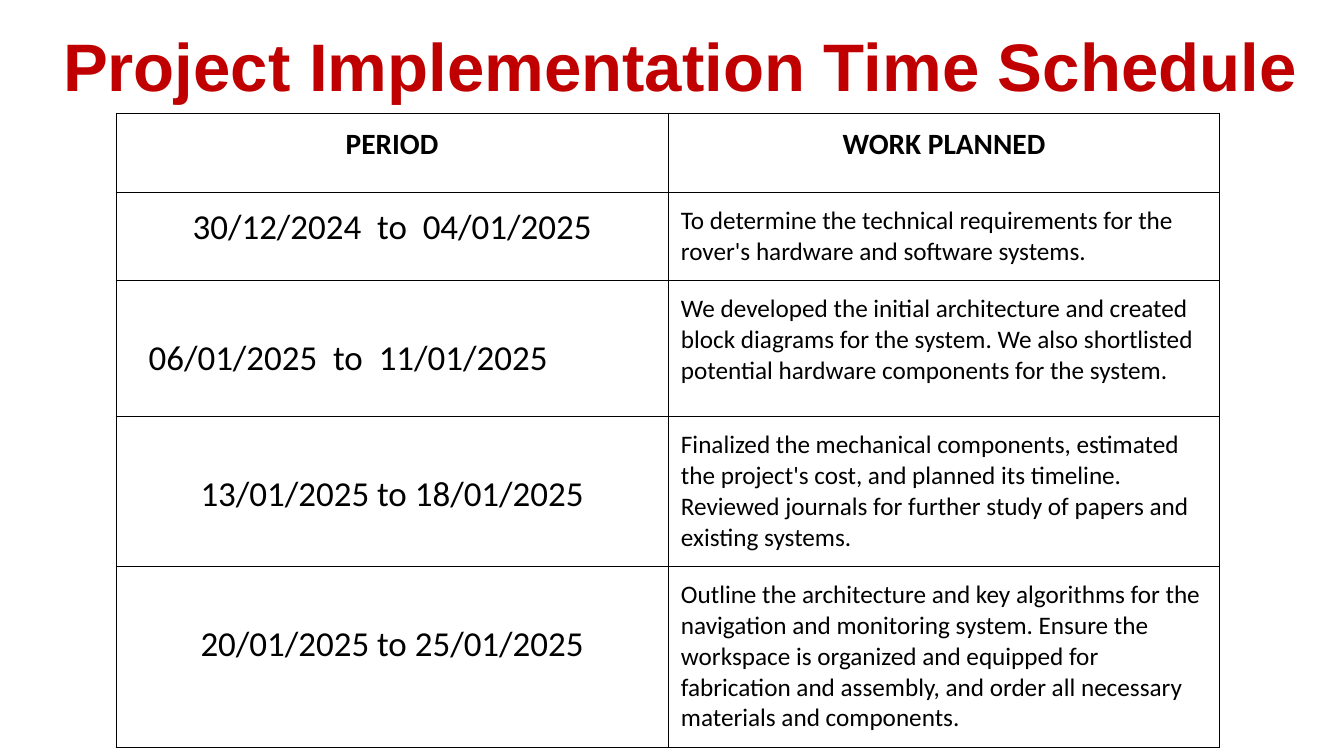
from lxml import etree
from pptx import Presentation
from pptx.dml.color import RGBColor
from pptx.enum.text import MSO_ANCHOR, PP_ALIGN
from pptx.oxml.ns import qn
from pptx.util import Pt

PX = 9071.43
RED = RGBColor(0xC0, 0x00, 0x00)
BLACK = RGBColor(0x00, 0x00, 0x00)
WHITE = RGBColor(0xFF, 0xFF, 0xFF)
LEFT, CENTER = PP_ALIGN.LEFT, PP_ALIGN.CENTER
TOP, BOTTOM = MSO_ANCHOR.TOP, MSO_ANCHOR.BOTTOM
INSET = 13
DATE_TOP = 56


def px(n):
    return round(n * PX)


def write(p, text, color, **fmt):
    r = p.add_run()
    r.text = text
    r.font.color.rgb = color
    for name, value in fmt.items():
        setattr(r.font, name, value)


prs = Presentation()
prs.slide_width, prs.slide_height = px(1344), px(756)
s = prs.slides.add_slide(prs.slide_layouts[6])

title = s.shapes.add_textbox(px(50), px(35), px(1284), px(83))
tf = title.text_frame
frame = {"word_wrap": True, "vertical_anchor": BOTTOM}
frame.update({f"margin_{side}": px(INSET) for side in ("left", "right", "top", "bottom")})
for name, value in frame.items():
    setattr(tf, name, value)
write(tf.paragraphs[0], "Project Implementation Time Schedule", RED,
      name="Arial", size=Pt(48), bold=True)

rows = [
    (80, INSET, INSET, "PERIOD", "WORK PLANNED"),
    (88, INSET, INSET, "30/12/2024  to  04/01/2025",
     "To determine the technical requirements for the rover's hardware and software systems."),
    (136, DATE_TOP, 101, "06/01/2025  to  11/01/2025",
     "We developed the initial architecture and created block diagrams for the system. "
     "We also shortlisted potential hardware components for the system."),
    (150, DATE_TOP, INSET, "13/01/2025 to 18/01/2025",
     "Finalized the mechanical components, estimated the project's cost, and planned its timeline. "
     "Reviewed journals for further study of papers and existing systems."),
    (181, DATE_TOP, INSET, "20/01/2025 to 25/01/2025",
     "Outline the architecture and key algorithms for the navigation and monitoring system. "
     "Ensure the workspace is organized and equipped for fabrication and assembly, "
     "and order all necessary materials and components."),
]
height = sum(row[0] for row in rows)
table = s.shapes.add_table(len(rows), 2, px(116), px(113), px(1104), px(height)).table
table.first_row = table.horz_banding = False
for column in table.columns:
    column.width = px(552)

header = {"size": Pt(21), "bold": True}
body = [{"size": Pt(25), "bold": False}, {"size": Pt(18), "bold": False}]
for i, (row_height, date_top, date_right, *texts) in enumerate(rows):
    table.rows[i].height = px(row_height)
    for j, text in enumerate(texts):
        cell = table.cell(i, j)
        layout = {
            "vertical_anchor": TOP,
            "margin_left": px(INSET),
            "margin_bottom": px(INSET),
            "margin_top": px(INSET if j else date_top),
            "margin_right": px(INSET if j else date_right),
        }
        for name, value in layout.items():
            setattr(cell, name, value)
        tcPr = cell._tc.get_or_add_tcPr()
        for edge in ("lnL", "lnR", "lnT", "lnB"):
            ln = etree.SubElement(tcPr, qn(f"a:{edge}"), w=str(Pt(0.75)))
            fill = etree.SubElement(ln, qn("a:solidFill"))
            etree.SubElement(fill, qn("a:srgbClr"), val=str(BLACK))
        cell.fill.solid()
        cell.fill.fore_color.rgb = WHITE
        p = cell.text_frame.paragraphs[0]
        p.alignment = LEFT if i and j else CENTER
        write(p, text, BLACK, name="Calibri", **(body[j] if i else header))

prs.save("out.pptx")
